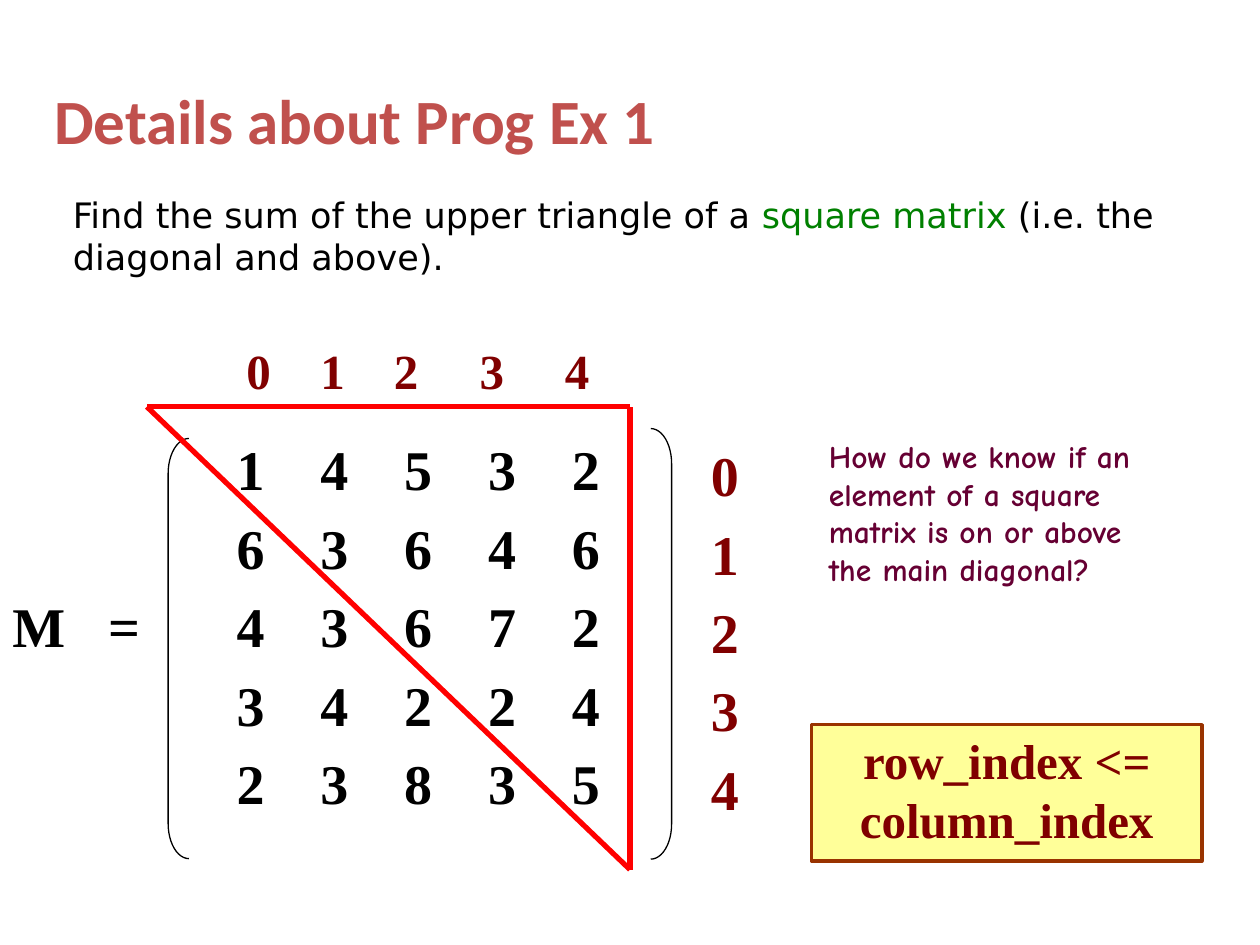
import pptx
import pptx.util
import pptx.dml.color
import pptx.enum.shapes
import pptx.enum.text
import pptx.oxml.ns
import lxml.etree

Cm, Pt = pptx.util.Cm, pptx.util.Pt
RGBColor = pptx.dml.color.RGBColor
SHAPE = pptx.enum.shapes.MSO_SHAPE
qn = pptx.oxml.ns.qn

BLACK = RGBColor(0x00, 0x00, 0x00)
RED = RGBColor(0xFF, 0x00, 0x00)
GREEN = RGBColor(0x00, 0x80, 0x00)
MAROON = RGBColor(0x80, 0x00, 0x00)
PLUM = RGBColor(0x66, 0x00, 0x33)
BRICK = RGBColor(0xC0, 0x50, 0x4D)
BROWN = RGBColor(0x99, 0x33, 0x00)
YELLOW = RGBColor(0xFF, 0xFF, 0x99)
SERIF = "Times New Roman"

prs = pptx.Presentation()
prs.slide_width, prs.slide_height = Cm(25.4), Cm(19.05)
slide = prs.slides.add_slide(prs.slide_layouts[6])
shapes = slide.shapes


def write(frame, lines, font, size, bold=True, before=20, tabs=()):
    """Fill a frame with lines of (text, colour) runs; before is a percentage, tabs are in cm."""
    frame.word_wrap = True
    for number, line in enumerate(lines):
        paragraph = frame.paragraphs[0] if number == 0 else frame.add_paragraph()
        properties = paragraph._p.get_or_add_pPr()
        if before:
            spacing = lxml.etree.SubElement(properties, qn("a:spcBef"))
            lxml.etree.SubElement(spacing, qn("a:spcPct"), val=str(before * 1000))
        if tabs:
            stops = lxml.etree.SubElement(properties, qn("a:tabLst"))
            for tab in tabs:
                lxml.etree.SubElement(stops, qn("a:tab"), pos=str(Cm(tab)), algn="l")
        for text, colour in line:
            run = paragraph.add_run()
            run.text = text
            run.font.name, run.font.size, run.font.bold = font, Pt(size), bold
            run.font.color.rgb = colour


def add_text(left, top, width, height, lines, font, size, inset=True, **style):
    frame = shapes.add_textbox(Cm(left), Cm(top), Cm(width), Cm(height)).text_frame
    if not inset:
        frame.margin_left = frame.margin_right = frame.margin_top = frame.margin_bottom = 0
    write(frame, lines, font, size, **style)


# Title and task
add_text(1.09, 1.65, 24.3, 1.55, [[("Details about Prog Ex 1", BRICK)]],
         "Calibri", 36, inset=False, before=0)
task = [
    ("Find the sum of the upper triangle of a ", BLACK),
    ("square matrix", GREEN),
    (" (i.e. the diagonal and above).", BLACK),
]
add_text(1.47, 3.91, 22.66, 3.23, [task], "DejaVu Sans", 20,
         inset=False, bold=False, before=0)

# Matrix values
matrix = ["14532", "63646", "43672", "34224", "23835"]
first_column, column_step = 4.52, 1.69
equals_tab = 1.93
column_tabs = [first_column + column_step * i for i in range(5)]
matrix_lines = []
for row, digits in enumerate(matrix):
    label = "M\t=" if row == 2 else "\t"
    matrix_lines.append([(label + "\t" + "\t".join(digits), BLACK)])
add_text(0, 8.64, 15.04, 8.89, matrix_lines, SERIF, 32, tabs=[equals_tab] + column_tabs)

# Brackets around the matrix
for kind, left, top, height in (
    (SHAPE.LEFT_BRACKET, 3.39, 8.84, 8.47),
    (SHAPE.RIGHT_BRACKET, 13.12, 8.64, 8.68),
):
    bracket = shapes.add_shape(kind, Cm(left), Cm(top), Cm(0.42), Cm(height))
    bracket.adjustments[0] = 1.69
    bracket.shadow.inherit = False
    bracket.fill.background()
    bracket.line.color.rgb = BLACK
    bracket.line.width = Pt(0.75)

# Upper triangle
corners = [(2.96, 8.2), (12.7, 17.53), (12.7, 8.2)]
for start, end in zip(corners, corners[1:] + corners[:1]):
    side = shapes.add_connector(pptx.enum.shapes.MSO_CONNECTOR.STRAIGHT,
                                *(Cm(value) for value in start + end))
    side.line.color.rgb = RED
    side.line.width = Pt(3)
    lxml.etree.SubElement(side._element.spPr, qn("a:effectLst"))

# Question and answer
question = "How do we know if an element of a square matrix is on or above the main diagonal?"
add_text(16.46, 8.68, 7.44, 5.21, [[(question, PLUM)]], "Comic Neue", 18)

answer = shapes.add_shape(SHAPE.RECTANGLE, Cm(16.36), Cm(14.61), Cm(7.87), Cm(2.75))
answer.shadow.inherit = False
answer.fill.solid()
answer.fill.fore_color.rgb = YELLOW
answer.line.color.rgb = BROWN
answer.line.width = Pt(2)
answer.text_frame.vertical_anchor = pptx.enum.text.MSO_ANCHOR.TOP
write(answer.text_frame, [[("row_index <= column_index", MAROON)]], SERIF, 28)
answer.text_frame.paragraphs[0].alignment = pptx.enum.text.PP_ALIGN.CENTER

# Column and row indices
add_text(4.23, 6.73, 8.05, 1.27, [[("\t" + "\t".join("01234"), MAROON)]], SERIF, 28,
         tabs=[0.49, 1.98, 3.46, 5.19, 6.91])
add_text(14.08, 8.76, 1.37, 8.31, [[(index, MAROON)] for index in "01234"], SERIF, 32)

prs.save("out.pptx")
